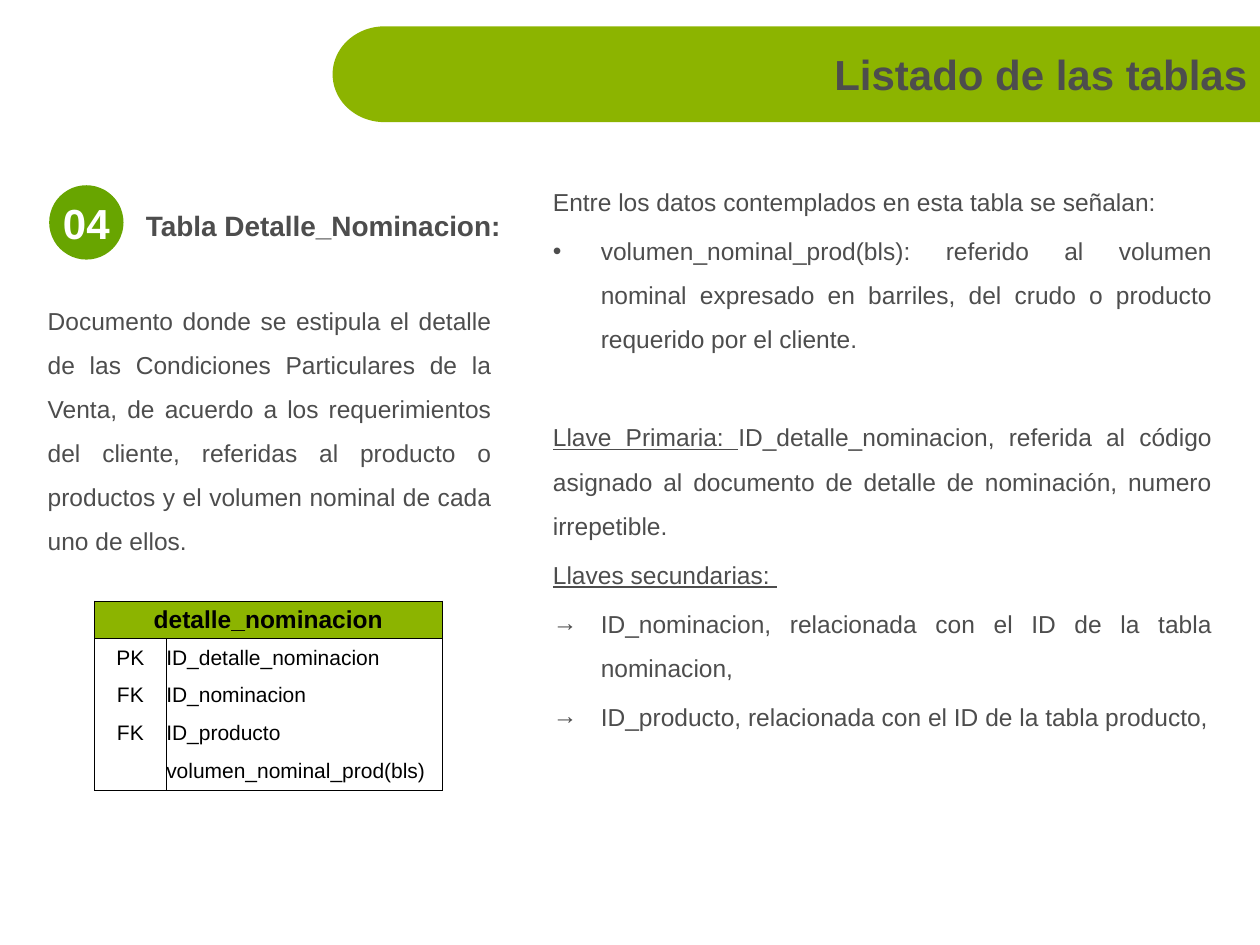
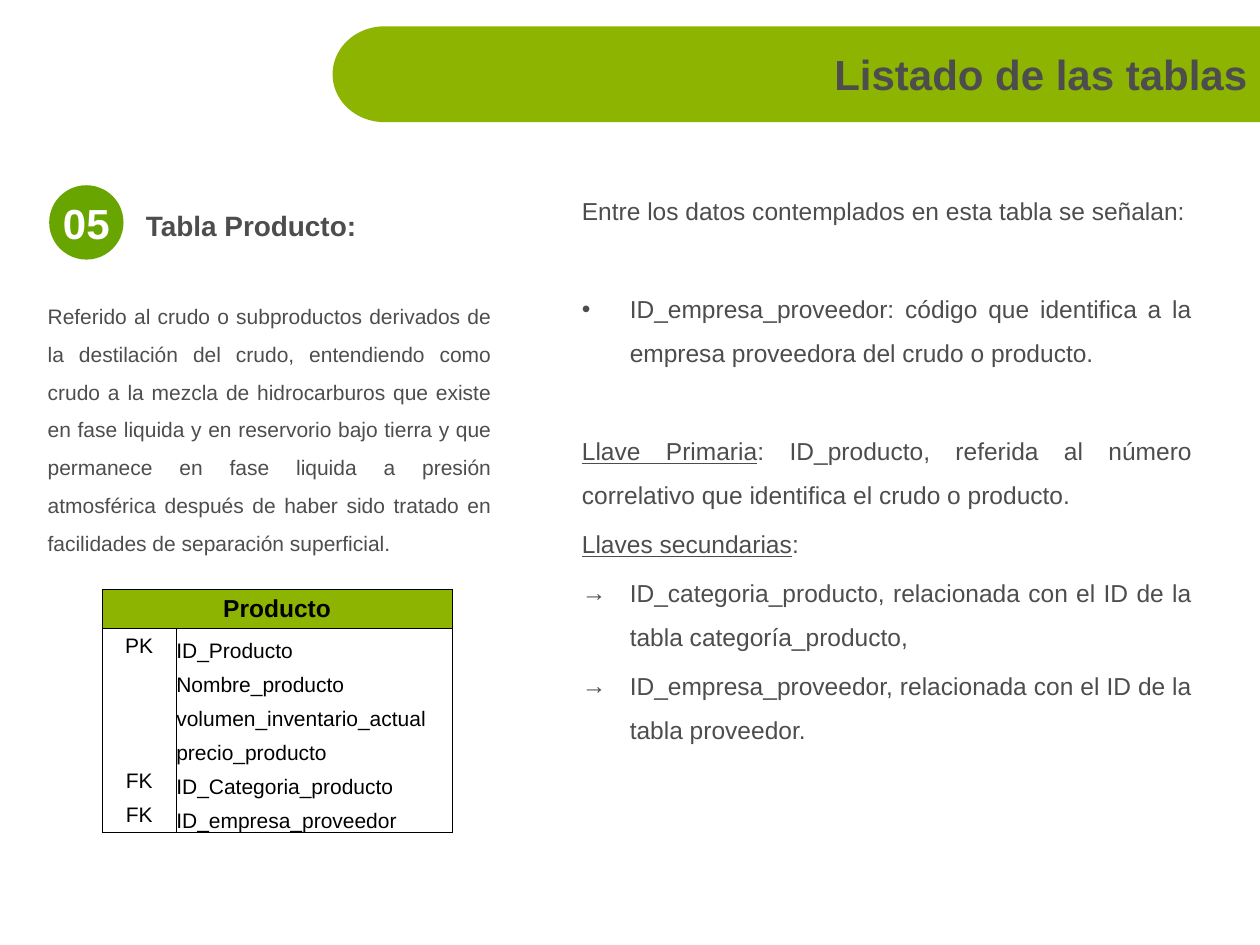
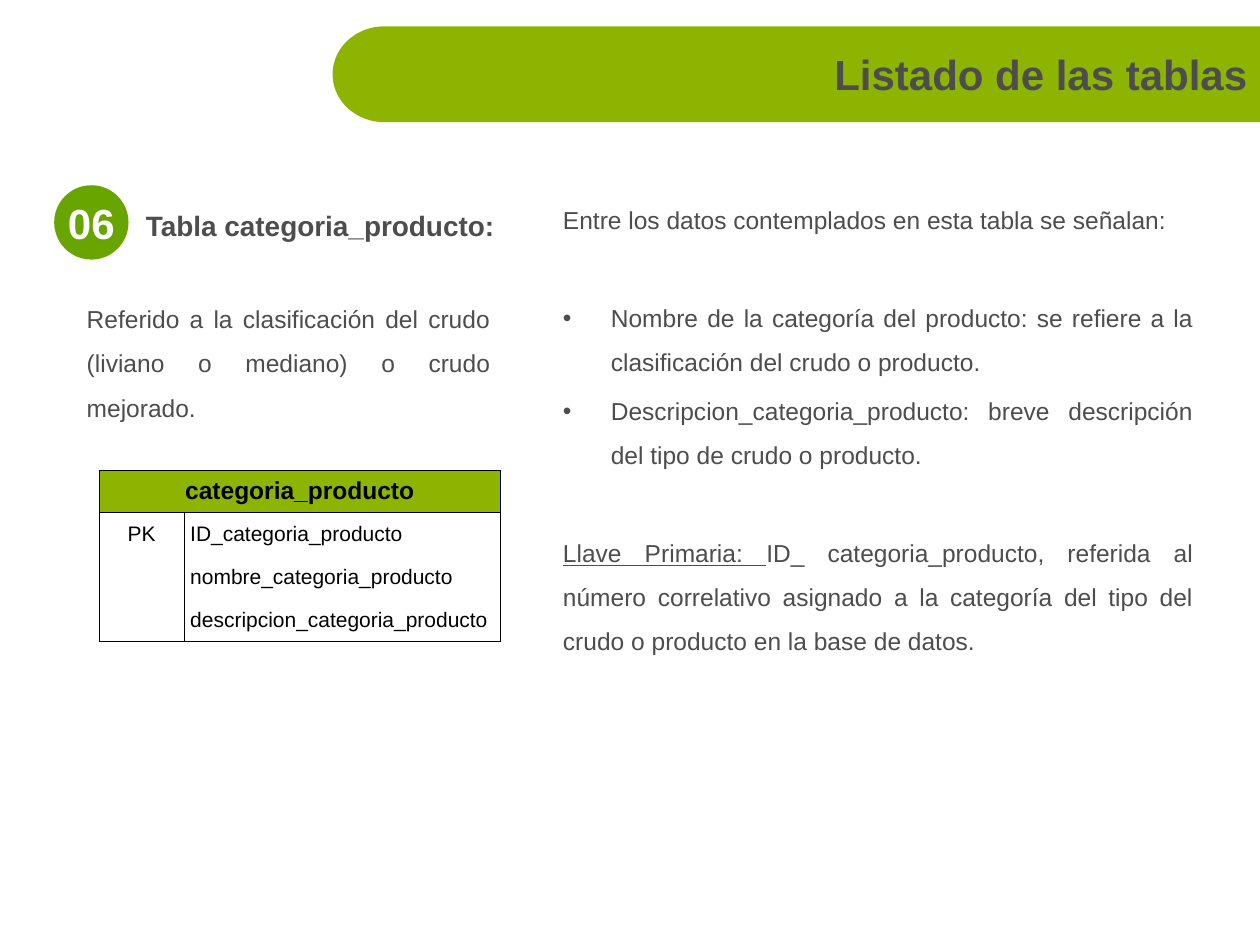
import math
import lxml.etree
import pptx
import pptx.dml.color
import pptx.enum.shapes
import pptx.enum.text
import pptx.oxml.ns
import pptx.util

Inches, Pt = pptx.util.Inches, pptx.util.Pt
ALIGN, ANCHOR = pptx.enum.text.PP_ALIGN, pptx.enum.text.MSO_ANCHOR
qn = pptx.oxml.ns.qn

FONT = "Arial"
GREEN, DARK_GREEN, GRAY, BLACK, WHITE = "8CB400", "68A500", "4D4D4D", "000000", "FFFFFF"
TITLE = "Listado de las tablas"
INTRO = "Entre los datos contemplados en esta tabla se señalan:"
DOT, ARROW = "•", "→"
CLOSE, WIDE = 2.8, 30.8

# Detail rows: bullet, underlined lead, text, space before in points.
SLIDES = [
    dict(
        number="04", badge_left=0.39, heading="Tabla Detalle_Nominacion:",
        summary="Documento donde se estipula el detalle de las Condiciones Particulares de la Venta, "
                "de acuerdo a los requerimientos del cliente, referidas al producto o productos y el "
                "volumen nominal de cada uno de ellos.",
        summary_box=(0.28, 2.26, 3.72, 1.1), summary_size=14,
        details_box=(4.29, 1.32, 5.43, 4.8),
        details=[
            ("", "", INTRO, CLOSE),
            (DOT, "", "volumen_nominal_prod(bls): referido al volumen nominal expresado en barriles, "
                      "del crudo o producto requerido por el cliente.", CLOSE),
            ("", "Llave Primaria: ", "ID_detalle_nominacion, referida al código asignado al documento "
                                     "de detalle de nominación, numero irrepetible.", WIDE),
            ("", "Llaves secundarias: ", "", CLOSE),
            (ARROW, "", "ID_nominacion, relacionada con el ID de la tabla nominacion,", CLOSE),
            (ARROW, "", "ID_producto, relacionada con el ID de la tabla producto,", CLOSE),
        ],
        table="detalle_nominacion", origin=(0.75, 4.77), cols=(0.57, 2.19), heights=(0.3, 0.3),
        anchor=ANCHOR.MIDDLE, indent=0,
        fields=[("PK", "ID_detalle_nominacion"), ("FK", "ID_nominacion"), ("FK", "ID_producto"),
                ("", "volumen_nominal_prod(bls)")],
    ),
    dict(
        number="05", badge_left=0.39, heading="Tabla Producto:",
        summary="Referido al crudo o subproductos derivados de la destilación del crudo, entendiendo "
                "como crudo a la mezcla de hidrocarburos que existe en fase liquida y en reservorio "
                "bajo tierra y que permanece en fase liquida a presión atmosférica después de haber "
                "sido tratado en facilidades de separación superficial.",
        summary_box=(0.28, 2.26, 3.72, 1.1), summary_size=12,
        details_box=(4.52, 1.39, 5.04, 3.36),
        details=[
            ("", "", INTRO, CLOSE),
            (DOT, "", "ID_empresa_proveedor: código que identifica a la empresa proveedora del crudo "
                      "o producto.", WIDE),
            ("", "Llave Primaria", ": ID_producto, referida al número correlativo que identifica el "
                                   "crudo o producto.", WIDE),
            ("", "Llaves secundarias", ":", CLOSE),
            (ARROW, "", "ID_categoria_producto, relacionada con el ID de la tabla "
                        "categoría_producto,", CLOSE),
            (ARROW, "", "ID_empresa_proveedor, relacionada con el ID de la tabla proveedor.", CLOSE),
        ],
        table="Producto", origin=(0.81, 4.68), cols=(0.59, 2.19), heights=(0.31, 0.27),
        anchor=ANCHOR.BOTTOM, indent=0,
        fields=[("PK", "ID_Producto"), ("", "Nombre_producto"), ("", "volumen_inventario_actual"),
                ("", "precio_producto"), ("FK", "ID_Categoria_producto"),
                ("FK", "ID_empresa_proveedor")],
    ),
    dict(
        number="06", badge_left=0.43, heading="Tabla categoria_producto:",
        summary="Referido a la clasificación del crudo (liviano o mediano) o crudo mejorado.",
        summary_box=(0.59, 2.25, 3.4, 1.1), summary_size=14,
        details_box=(4.37, 1.46, 5.2, 4.8),
        details=[
            ("", "", INTRO, CLOSE),
            (DOT, "", "Nombre de la categoría del producto: se refiere a la clasificación del crudo "
                      "o producto.", WIDE),
            (DOT, "", "Descripcion_categoria_producto: breve descripción del tipo de crudo o "
                      "producto.", CLOSE),
            ("", "Llave Primaria: ", "ID_ categoria_producto, referida al número correlativo asignado "
                                     "a la categoría del tipo del crudo o producto en la base de "
                                     "datos.", WIDE),
        ],
        table="categoria_producto", origin=(0.79, 3.73), cols=(0.67, 2.51), heights=(0.34, 0.34),
        anchor=ANCHOR.MIDDLE, indent=0.05,
        fields=[("PK", "ID_categoria_producto"), ("", "nombre_categoria_producto"),
                ("", "descripcion_categoria_producto")],
    ),
]


def rgb(color):
    return pptx.dml.color.RGBColor.from_string(color)


def assign(obj, **values):
    for name, value in values.items():
        setattr(obj, name, value)


def place(sp, box):
    assign(sp, **dict(zip(("left", "top", "width", "height"), map(Inches, box))))


def add_run(p, text, size, color, **style):
    r = p.add_run()
    r.text = text
    assign(r.font, name=FONT, size=Pt(size), **style)
    r.font.color.rgb = rgb(color)


def add_box(sl, box):
    tf = sl.shapes.add_textbox(*map(Inches, box)).text_frame
    tf.word_wrap = True
    return tf


def paint(sp, color):
    sp.shadow.inherit = False
    sp.fill.solid()
    sp.fill.fore_color.rgb = rgb(color)
    sp.line.fill.background()


def add_bullet(p, char):
    pPr = p._p.get_or_add_pPr()
    pPr.set("marL", str(Inches(0.38)))
    pPr.set("indent", str(-Inches(0.38)))
    lxml.etree.SubElement(pPr, qn("a:buFont")).set("typeface", FONT)
    lxml.etree.SubElement(pPr, qn("a:buChar")).set("char", char)


def add_prose(sl, box, rows, size):
    tf = add_box(sl, box)
    for i, (bullet, lead, text, gap) in enumerate(rows):
        p = tf.add_paragraph() if i else tf.paragraphs[0]
        assign(p, alignment=ALIGN.JUSTIFY, line_spacing=1.5, space_before=Pt(gap))
        if bullet:
            add_bullet(p, bullet)
        if lead:
            add_run(p, lead, size, GRAY, underline=True)
        if text:
            add_run(p, text, size, GRAY)


def add_borders(cell, sides):
    tcPr = cell._tc.get_or_add_tcPr()
    for side in "LRTB":
        ln = lxml.etree.SubElement(tcPr, qn("a:ln" + side))
        if side in sides:
            ln.set("w", str(Pt(0.5)))
            fill = lxml.etree.SubElement(ln, qn("a:solidFill"))
            lxml.etree.SubElement(fill, qn("a:srgbClr")).set("val", BLACK)
        else:
            lxml.etree.SubElement(ln, qn("a:noFill"))


def fill_cell(cell, text, sides, size=12, align=ALIGN.LEFT, anchor=ANCHOR.MIDDLE, indent=0, bold=False):
    assign(cell, margin_left=Inches(indent), margin_right=0, margin_top=0, margin_bottom=0,
           vertical_anchor=anchor)
    p = cell.text_frame.paragraphs[0]
    p.alignment = align
    if text:
        add_run(p, text, size, BLACK, bold=bold)
    else:
        lxml.etree.SubElement(p._p, qn("a:endParaRPr")).set("sz", str(size * 100))
    add_borders(cell, sides)


def add_fields(sl, s):
    head, row = s["heights"]
    heights = [head] + [row] * len(s["fields"])
    box = (*s["origin"], sum(s["cols"]), sum(heights))
    tb = sl.shapes.add_table(len(heights), 2, *map(Inches, box)).table
    assign(tb, first_row=False, horz_banding=False)
    for col, width in zip(tb.columns, s["cols"]):
        col.width = Inches(width)
    for tr, height in zip(tb.rows, heights):
        tr.height = Inches(height)
    header = tb.cell(0, 0)
    header.merge(tb.cell(0, 1))
    fill_cell(header, s["table"], "LRTB", 14, ALIGN.CENTER, bold=True)
    add_borders(tb.cell(0, 1), "LRTB")
    header.fill.solid()
    header.fill.fore_color.rgb = rgb(GREEN)
    for i, (key, field) in enumerate(s["fields"], 1):
        sides = "LR" + "T" * (i == 1) + "B" * (i == len(s["fields"]))
        fill_cell(tb.cell(i, 0), key, sides, align=ALIGN.CENTER)
        fill_cell(tb.cell(i, 1), field, sides, anchor=s["anchor"], indent=s["indent"])
        for j in range(2):
            tb.cell(i, j).fill.background()


def add_title(sl):
    cx, cy, rx, ry, steps = 3.05, 0.59, 0.41, 0.38, 40
    angles = [math.pi * (0.5 + k / steps) for k in range(steps + 1)]
    arc = [(Inches(cx + rx * math.cos(a)), Inches(cy + ry * math.sin(a))) for a in angles]
    right, top, bottom = Inches(10), Inches(cy - ry), Inches(cy + ry)
    fb = sl.shapes.build_freeform(right, top, scale=1.0)
    fb.add_line_segments([(right, bottom)] + arc, close=True)
    paint(fb.convert_to_shape(), GREEN)
    title = sl.shapes.title
    place(title, (3.06, 0.27, 6.94, 0.63))
    tf = title.text_frame
    assign(tf, word_wrap=True, vertical_anchor=ANCHOR.MIDDLE, auto_size=pptx.enum.text.MSO_AUTO_SIZE.NONE)
    p = tf.paragraphs[0]
    p.alignment = ALIGN.RIGHT
    add_run(p, TITLE, 24, GRAY, bold=True)
    title.element.getparent().append(title.element)


def add_badge(sl, number, left):
    box = (left, 1.47, 0.59, 0.59)
    sp = sl.shapes.add_shape(pptx.enum.shapes.MSO_SHAPE.OVAL, *map(Inches, box))
    paint(sp, DARK_GREEN)
    tf = sp.text_frame
    assign(tf, word_wrap=False, vertical_anchor=ANCHOR.MIDDLE,
           margin_left=0, margin_right=0, margin_top=0, margin_bottom=0)
    p = tf.paragraphs[0]
    p.alignment = ALIGN.CENTER
    add_run(p, number, 24, WHITE, bold=True)


prs = pptx.Presentation()
assign(prs, slide_width=Inches(10), slide_height=Inches(7.5))
for s in SLIDES:
    sl = prs.slides.add_slide(prs.slide_layouts.get_by_name("Title Only"))
    add_prose(sl, s["details_box"], s["details"], 14)
    tf = add_box(sl, (1.06, 1.6, 3.07, 0.37))
    tf.vertical_anchor = ANCHOR.MIDDLE
    add_run(tf.paragraphs[0], s["heading"], 16, GRAY, bold=True)
    add_prose(sl, s["summary_box"], [("", "", s["summary"], CLOSE)], s["summary_size"])
    add_fields(sl, s)
    add_title(sl)
    add_badge(sl, s["number"], s["badge_left"])
prs.save("out.pptx")
